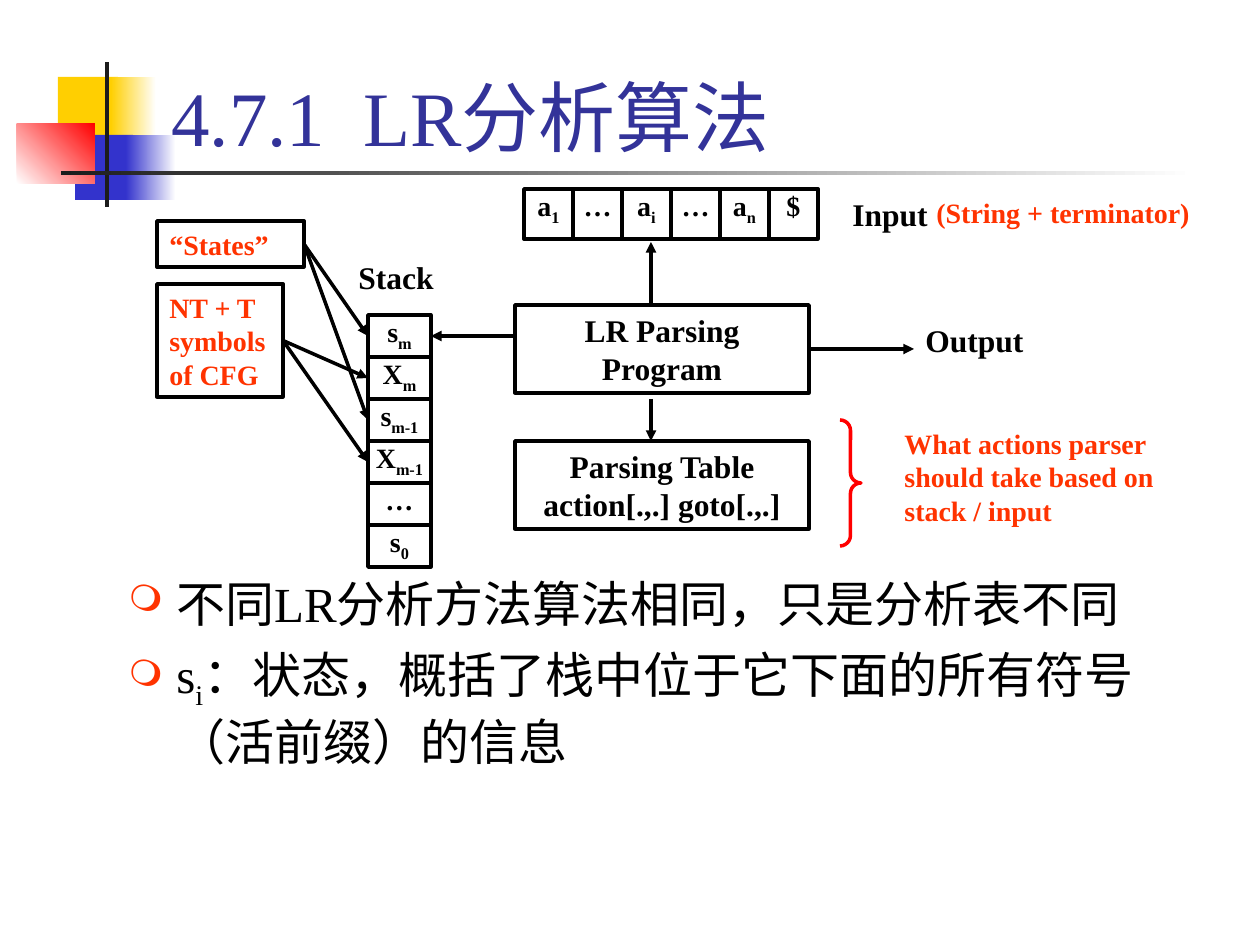
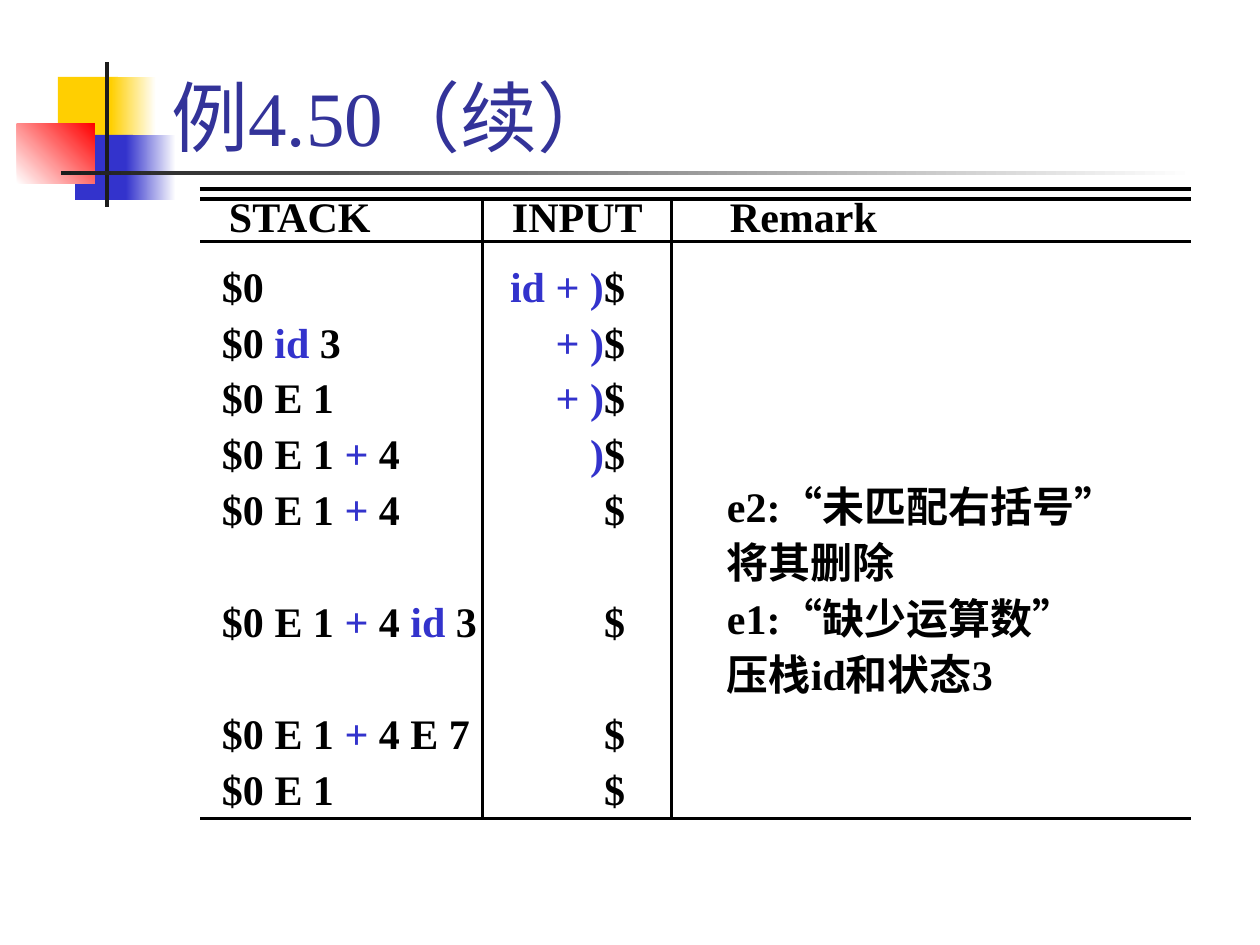
from lxml import etree
from pptx import Presentation
from pptx import util as u
from pptx.dml.color import RGBColor
from pptx.enum import shapes, text
from pptx.oxml.ns import qn

FONT = "Times New Roman"
BLACK = RGBColor(0, 0, 0)
WHITE = RGBColor(255, 255, 255)
RED = RGBColor(255, 0, 0)
ORANGE = RGBColor(0xFF, 0x33, 0x00)
YELLOW = RGBColor(0xFF, 0xCF, 0x01)
BLUE = RGBColor(0x33, 0x33, 0xCC)
TITLE_BLUE = RGBColor(0x33, 0x33, 0x99)
CHARCOAL = RGBColor(0x1C, 0x1C, 0x1C)
RULE = u.Pt(2)
LEFT, CENTER, RIGHT = text.PP_ALIGN.LEFT, text.PP_ALIGN.CENTER, text.PP_ALIGN.RIGHT

STACK = ["s|m", "X|m", "s|m-1", "X|m-1", "…", "s|0"]
INPUT = ["a|1", "…", "a|i", "…", "a|n", "$"]
HEADINGS = ["STACK", "INPUT", "Remark"]
MOVES = [
    ("$0", "|id + )|$", ""),
    ("$0 |id| 3", "|+ )|$", ""),
    ("$0 E 1", "|+ )|$", ""),
    ("$0 E 1 |+| 4", "|)|$", ""),
    ("$0 E 1 |+| 4", "$", "e2:“未匹配右括号”"),
    ("", "", "将其删除"),
    ("$0 E 1 |+| 4 |id| 3", "$", "e1:“缺少运算数”"),
    ("", "", "压栈id和状态3"),
    ("$0 E 1 |+| 4 E 7", "$", ""),
    ("$0 E 1", "$", ""),
]


def px(n):
    return u.Emu(round(n * 914400 / 126))


def add_xml(parent, tag, **attributes):
    return etree.SubElement(parent, qn(tag), attributes)


def subscript(run):
    run._r.get_or_add_rPr().set("baseline", "-25000")


def highlight(run):
    run.font.color.rgb = BLUE


def write(paragraph, marked, size, color=BLACK, bold=True, align=LEFT, mark=subscript):
    for i, piece in enumerate(marked.split("|")):
        if piece:
            run = paragraph.add_run()
            run.text = piece
            if i % 2:
                mark(run)
    paragraph.alignment = align
    font = paragraph.font
    font.name, font.size, font.bold = FONT, u.Pt(size), bold
    font.color.rgb = color


def label(slide, box, words, size=18, color=BLACK):
    frame = slide.shapes.add_textbox(*map(px, box)).text_frame
    frame.word_wrap = True
    write(frame.paragraphs[0], words, size, color)


def framed(slide, box, words, size=18, color=BLACK, align=CENTER, inset=True):
    shape = slide.shapes.add_shape(shapes.MSO_SHAPE.RECTANGLE, *map(px, box))
    shape.shadow.inherit = False
    shape.fill.background()
    shape.line.color.rgb, shape.line.width = BLACK, RULE
    frame = shape.text_frame
    frame.word_wrap = True
    frame.vertical_anchor = text.MSO_ANCHOR.TOP
    if not inset:
        frame.margin_left = frame.margin_right = frame.margin_top = frame.margin_bottom = 0
    write(frame.paragraphs[0], words, size, color, align=align)
    return shape


def block(slide, box, color, fade_to=None, angle=0):
    shape = slide.shapes.add_shape(shapes.MSO_SHAPE.RECTANGLE, *map(px, box))
    shape.shadow.inherit = False
    shape.line.fill.background()
    if fade_to is None:
        shape.fill.solid()
        shape.fill.fore_color.rgb = color
    else:
        shape.fill.gradient()
        shape.fill.gradient_angle = angle
        for stop, shade in zip(shape.fill.gradient_stops, (color, fade_to)):
            stop.color.rgb = shade


def rule(slide, start, end):
    line = slide.shapes.add_connector(
        shapes.MSO_CONNECTOR.STRAIGHT, *map(px, (*start, *end)))
    line.line.color.rgb, line.line.width = BLACK, RULE
    add_xml(line._element.spPr, "a:effectLst")
    return line


def arrow(slide, start, end, from_side=None, to_side=None):
    line = rule(slide, (0, 0) if from_side else start, (0, 0) if to_side else end)
    if from_side:
        line.begin_connect(start, from_side)
    if to_side:
        line.end_connect(end, to_side)
    add_xml(line.line._get_or_add_ln(), "a:tailEnd", type="triangle")


def new_slide(prs, title, tab=None):
    slide = prs.slides.add_slide(prs.slide_layouts[6])
    block(slide, (58, 77, 60, 66), YELLOW)
    block(slide, (111, 77, 45, 66), YELLOW, WHITE)
    block(slide, (75, 135, 58, 65), BLUE)
    block(slide, (126, 135, 50, 65), BLUE, WHITE)
    block(slide, (17, 124, 78, 60), WHITE, RED, 45)
    block(slide, (105, 62, 4, 145), CHARCOAL)
    block(slide, (61, 171, 1134, 4), CHARCOAL, WHITE)
    frame = slide.shapes.add_textbox(*map(px, (159, 10, 1074, 158))).text_frame
    frame.word_wrap = True
    frame.vertical_anchor = text.MSO_ANCHOR.BOTTOM
    heading = frame.paragraphs[0]
    if tab:
        stops = add_xml(heading._p.get_or_add_pPr(), "a:tabLst")
        add_xml(stops, "a:tab", pos=str(px(tab)), algn="l")
    write(heading, title, 44, TITLE_BLUE, bold=False)
    return slide


def bullets(slide, box, points):
    frame = slide.shapes.add_textbox(*map(px, box)).text_frame
    frame.word_wrap = True
    for i, point in enumerate(points):
        paragraph = frame.add_paragraph() if i else frame.paragraphs[0]
        if i:
            paragraph.space_before = u.Pt(7)
        props = paragraph._p.get_or_add_pPr()
        props.set("marL", str(px(48)))
        props.set("indent", str(-px(48)))
        add_xml(add_xml(props, "a:buClr"), "a:srgbClr", val=str(ORANGE))
        add_xml(props, "a:buSzPct", val="75000")
        add_xml(props, "a:buChar", char="❍")
        write(paragraph, point, 28, bold=False)


def set_borders(cell, ruled):
    props = cell._tc.get_or_add_tcPr()
    for side in "LRTB":
        border = add_xml(props, f"a:ln{side}", w=str(RULE))
        if side in ruled:
            add_xml(add_xml(border, "a:solidFill"), "a:srgbClr", val=str(BLACK))
        else:
            add_xml(border, "a:noFill")


def fill_cell(cell, words, ruled, left, right, bottom, align):
    set_borders(cell, ruled)
    cell.fill.background()
    cell.vertical_anchor = text.MSO_ANCHOR.BOTTOM
    cell.margin_left, cell.margin_right = px(left), px(right)
    cell.margin_top, cell.margin_bottom = 0, px(bottom)
    paragraph = cell.text_frame.paragraphs[0]
    paragraph.line_spacing = u.Pt(24)
    write(paragraph, words, 24, align=align, mark=highlight)


def moves_table(slide):
    widths = [283, 189, 519]
    heights = [42, 74] + [56] * (len(MOVES) - 1)
    table = slide.shapes.add_table(
        len(heights), len(widths),
        *map(px, (200, 199, sum(widths), sum(heights)))).table
    table.first_row = table.horz_banding = False
    for column, width in zip(table.columns, widths):
        column.width = px(width)
    for row, height in zip(table.rows, heights):
        row.height = px(height)
    sides = ["R", "LR", "L"]
    for c, heading in enumerate(HEADINGS):
        fill_cell(table.cell(0, c), heading, sides[c] + "TB", [29, 29, 58][c], 0, 0, LEFT)
    for r, move in enumerate(MOVES, 1):
        edge = "T" if r == 1 else "B" if r == len(MOVES) else ""
        for c, words in enumerate(move):
            fill_cell(table.cell(r, c), words, sides[c] + edge, [22, 0, 55][c],
                      [0, 47, 0][c], 4, RIGHT if c == 1 else LEFT)


def algorithm_slide(prs):
    slide = new_slide(prs, "4.7.1\tLR分析算法", tab=192)
    bullets(slide, (116, 567, 1119, 273), [
        "不同LR分析方法算法相同，只是分析表不同",
        "s|i|：状态，概括了栈中位于它下面的所有符号（活前缀）的信息"])

    for i, symbol in enumerate(INPUT):
        framed(slide, (524 + 49 * i, 189, 49, 50), symbol, 16, inset=False)
    stack = [framed(slide, (368, 315 + 42 * i, 63, 42), symbol, 16, inset=False)
             for i, symbol in enumerate(STACK)]

    program = framed(slide, (515, 305, 294, 88), "LR Parsing Program")
    framed(slide, (515, 441, 294, 88), "Parsing Table action[.,.] goto[.,.]")
    states = framed(slide, (157, 221, 147, 46), "“States”", 16, ORANGE, LEFT)
    symbols = framed(slide, (157, 284, 126, 113), "NT + T symbols of CFG", 16, ORANGE, LEFT)

    label(slide, (840, 189, 116, 50), "Input")
    label(slide, (346, 252, 116, 50), "Stack")
    label(slide, (913, 315, 158, 50), "Output")
    label(slide, (924, 189, 284, 47), "(String + terminator)", 16, ORANGE)
    label(slide, (892, 420, 294, 113),
          "What actions parser should take based on stack / input", 16, ORANGE)

    arrow(slide, (651, 305), (651, 242))
    arrow(slide, (651, 399), (651, 441))
    arrow(slide, (515, 336), stack[0], to_side=3)
    arrow(slide, program, (914, 349), from_side=3)
    for i, cell in enumerate(stack[:4]):
        arrow(slide, symbols if i % 2 else states, cell, from_side=3, to_side=1)

    brace = slide.shapes.add_shape(
        shapes.MSO_SHAPE.RIGHT_BRACE, *map(px, (840, 420, 21, 126)))
    brace.shadow.inherit = False
    brace.adjustments[0] = 0.5
    brace.fill.background()
    brace.line.color.rgb, brace.line.width = RED, RULE


def example_slide(prs):
    slide = new_slide(prs, "例4.50（续）")
    rule(slide, (200, 189), (1191, 189))
    moves_table(slide)


def main():
    prs = Presentation()
    prs.slide_width, prs.slide_height = px(1260), px(945)
    algorithm_slide(prs)
    example_slide(prs)
    prs.save("out.pptx")


if __name__ == "__main__":
    main()
